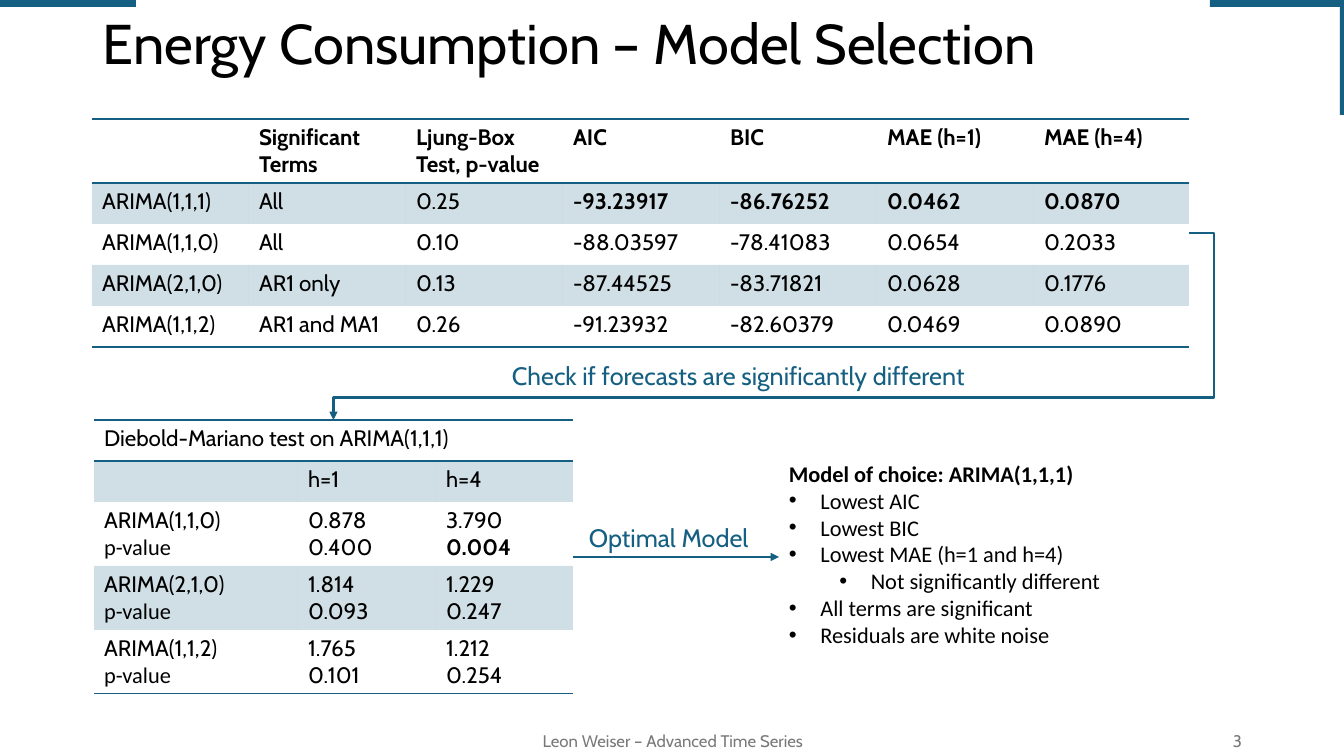
from lxml.etree import SubElement
from pptx import Presentation
from pptx.dml.color import RGBColor
from pptx.enum.shapes import MSO_CONNECTOR, MSO_SHAPE
from pptx.enum.text import MSO_ANCHOR, PP_ALIGN
from pptx.oxml.ns import qn
from pptx.util import Pt

PX = 914400 / 100.8
TEAL = RGBColor(0x15, 0x60, 0x82)
BLACK = RGBColor(0, 0, 0)
GRAY = RGBColor(0x79, 0x79, 0x79)
NO_STYLE = "{2D5ABB26-0587-4C30-8999-92F81FD0307C}"


def write(tf, text, size=16, font="Cabin", color=BLACK, bold=False, align=None):
    """Fill the first empty paragraph, or add one, and return it."""
    p = tf.paragraphs[0]
    if p.runs:
        p = tf.add_paragraph()
    p.alignment = align
    r = p.add_run()
    r.text = text
    r.font.size, r.font.name, r.font.bold = Pt(size), font, bold
    r.font.color.rgb = color
    return p


def add_grid(s, rows, left, top, widths, heights, banded, bold):
    """Add a table with ruled head and foot and tinted band rows."""
    frame = s.shapes.add_table(len(rows), len(widths), round(left * PX), round(top * PX),
                               round(sum(widths) * PX), round(sum(heights) * PX))
    table = frame.table
    table.first_row = table.horz_banding = False
    table._tbl.tblPr.find(qn("a:tableStyleId")).text = NO_STYLE
    for column, width in zip(table.columns, widths):
        column.width = round(width * PX)
    for i, row in enumerate(rows):
        table.rows[i].height = round(heights[i] * PX)
        sides = {0: ("a:lnT", "a:lnB"), len(rows) - 1: ("a:lnB",)}.get(i, ())
        for j, text in enumerate(row):
            cell = table.cell(i, j)
            for side in sides:
                ln = SubElement(cell._tc.get_or_add_tcPr(), qn(side), w=str(Pt(1)))
                SubElement(SubElement(ln, qn("a:solidFill")), qn("a:srgbClr"), val=str(TEAL))
            if i in banded:
                cell.fill.solid()
                cell.fill.fore_color.rgb = TEAL
                tint = cell._tc.tcPr.find(".//" + qn("a:solidFill") + "/" + qn("a:srgbClr"))
                SubElement(tint, qn("a:alpha"), val="20000")
            else:
                cell.fill.background()
            for line in text.split("\n") if text else ():
                write(cell.text_frame, line, bold=line in bold,
                      font="Calibri" if line == "p-value" else "Cabin")
    return frame


prs = Presentation()
prs.slide_width, prs.slide_height = round(1344 * PX), round(756 * PX)
s = prs.slides.add_slide(prs.slide_layouts[6])

# Corner bars
for box in ((0, 0, 136, 7), (1210, 0, 134, 7), (1340, 0, 4, 115)):
    sp = s.shapes.add_shape(MSO_SHAPE.RECTANGLE, *(round(v * PX) for v in box))
    sp.shadow.inherit = False
    sp.fill.solid()
    sp.fill.fore_color.rgb = TEAL
    sp.line.fill.background()

# Title, arrow labels and footer
labels = (
    ("Energy Consumption – Model Selection", (93, 0, 1159, 92), MSO_ANCHOR.MIDDLE,
     dict(size=40)),
    ("Check if forecasts are significantly different", (502, 355, 520, 40), MSO_ANCHOR.TOP,
     dict(size=18, color=TEAL)),
    ("Optimal Model", (579, 517, 187, 40), MSO_ANCHOR.TOP, dict(size=18, color=TEAL)),
    ("Leon Weiser – Advanced Time Series", (446, 721, 454, 40), MSO_ANCHOR.MIDDLE,
     dict(size=12, color=GRAY, align=PP_ALIGN.CENTER)),
    ("3", (950, 721, 302, 40), MSO_ANCHOR.MIDDLE,
     dict(size=12, color=GRAY, align=PP_ALIGN.RIGHT)),
)
for text, box, anchor, style in labels:
    tf = s.shapes.add_textbox(*(round(v * PX) for v in box)).text_frame
    tf.word_wrap = True
    tf.vertical_anchor = anchor
    p = write(tf, text, **style)
    if style["size"] == 40:
        p.line_spacing = 0.9

# Model comparison table
header = ("", "Significant Terms", "Ljung-Box Test, p-value", "AIC", "BIC",
          "MAE (h=1)", "MAE (h=4)")
best = ("-93.23917", "-86.76252", "0.0462", "0.0870")
models = add_grid(s, (
    header,
    ("ARIMA(1,1,1)", "All", "0.25", *best),
    ("ARIMA(1,1,0)", "All", "0.10", "-88.03597", "-78.41083", "0.0654", "0.2033"),
    ("ARIMA(2,1,0)", "AR1 only", "0.13", "-87.44525", "-83.71821", "0.0628", "0.1776"),
    ("ARIMA(1,1,2)", "AR1 and MA1", "0.26", "-91.23932", "-82.60379", "0.0469", "0.0890"),
), 92, 119, [157] * 6 + [155], [64] + [41] * 4, banded=(1, 3), bold=header + best)

# Diebold-Mariano table
tests = add_grid(s, (
    ("Diebold-Mariano test on ARIMA(1,1,1)", "", ""),
    ("", "h=1", "h=4"),
    ("ARIMA(1,1,0)\np-value", "0.878\n0.400", "3.790\n0.004"),
    ("ARIMA(2,1,0)\np-value", "1.814\n0.093", "1.229\n0.247"),
    ("ARIMA(1,1,2)\np-value", "1.765\n0.101", "1.212\n0.254"),
), 94, 420, [204, 138, 137], [41] * 2 + [64] * 3, banded=(1, 3), bold=("0.004",))
tests.table.cell(0, 0).merge(tests.table.cell(0, 2))

# Model of choice
choice = s.shapes.add_textbox(*(round(v * PX) for v in (779, 455, 410, 204)))
tf = choice.text_frame
tf.word_wrap = True
write(tf, "Model of choice: ARIMA(1,1,1)", font="Calibri", bold=True)
for level, text in ((0, "Lowest AIC"), (0, "Lowest BIC"), (0, "Lowest MAE (h=1 and h=4)"),
                    (1, "Not significantly different"), (0, "All terms are significant"),
                    (0, "Residuals are white noise")):
    p = write(tf, text, font="Calibri")
    p.level = level
    pPr = p._p.get_or_add_pPr()
    pPr.set("marL", str(285750 + 457200 * level))
    pPr.set("indent", "-285750")
    SubElement(pPr, qn("a:buFont"), typeface="Arial")
    SubElement(pPr, qn("a:buChar"), char="•")

# Arrows from table to table and on to the choice
for kind, start, start_side, end, end_side in (
        (MSO_CONNECTOR.ELBOW, models, 3, tests, 0),
        (MSO_CONNECTOR.STRAIGHT, tests, 3, choice, 1)):
    c = s.shapes.add_connector(kind, 0, 0, 0, 0)
    c.begin_connect(start, start_side)
    c.end_connect(end, end_side)
    c.line.color.rgb = TEAL
    c.line.width = Pt(1.5)
    SubElement(c.line._get_or_add_ln(), qn("a:tailEnd"), type="triangle")
    SubElement(c._element.spPr, qn("a:effectLst"))
    if kind == MSO_CONNECTOR.ELBOW:
        geom = c._element.spPr.find(qn("a:prstGeom"))
        geom.set("prst", "bentConnector4")
        guides = geom.find(qn("a:avLst"))
        for name, value in (("adj1", -2900), ("adj2", 88000)):
            SubElement(guides, qn("a:gd"), name=name, fmla=f"val {value}")

prs.save("out.pptx")
